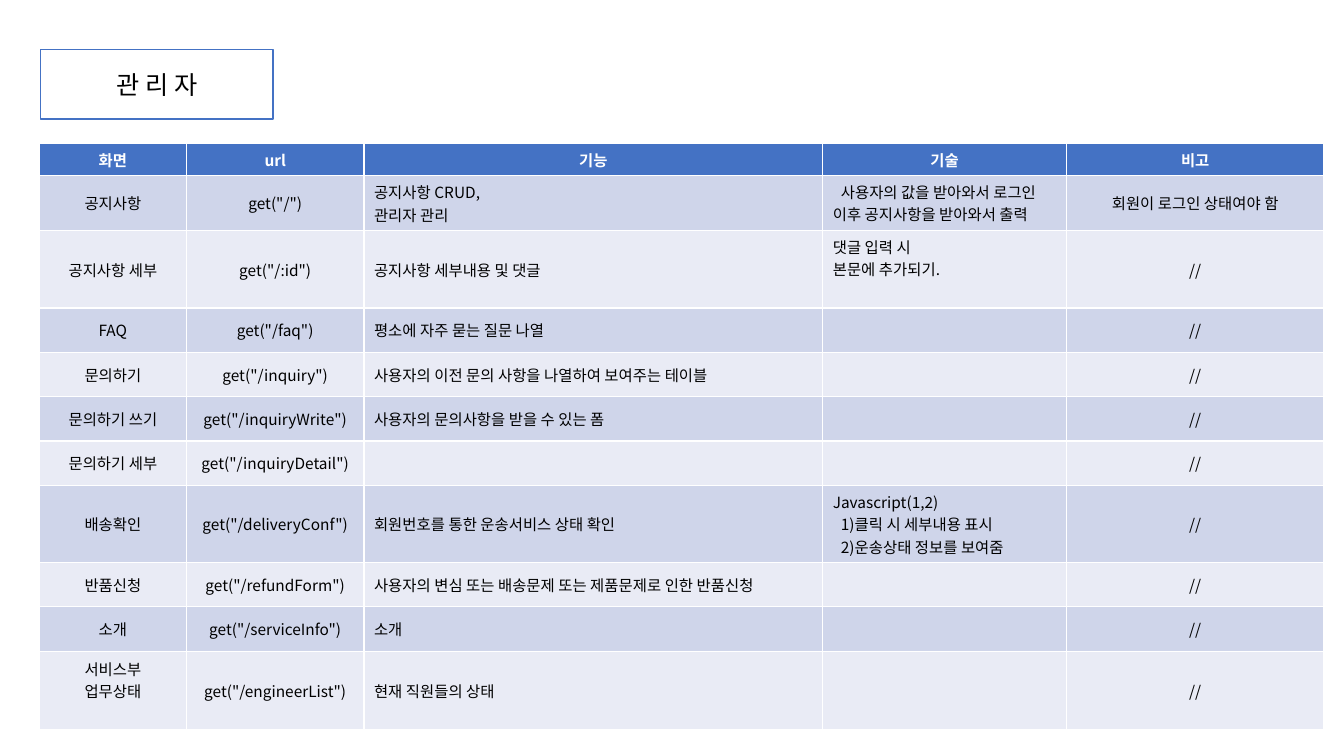
from lxml import etree
from pptx import Presentation
from pptx import util as u
from pptx.dml.color import RGBColor
from pptx.enum import text
from pptx.oxml import ns

BLUE = RGBColor(0x44, 0x72, 0xC4)
BAND_DARK = RGBColor(0xCF, 0xD5, 0xEA)
BAND_LIGHT = RGBColor(0xE9, 0xEB, 0xF5)
WHITE = RGBColor(0xFF, 0xFF, 0xFF)
BLACK = RGBColor(0, 0, 0)
FONT = "Noto Sans CJK KR"
CENTER, LEFT = text.PP_ALIGN.CENTER, text.PP_ALIGN.LEFT
MIDDLE, TOP = text.MSO_ANCHOR.MIDDLE, text.MSO_ANCHOR.TOP

COLUMN_WIDTHS = [1.46, 1.76, 4.55, 2.42, 2.55]
ALIGNMENTS = [CENTER, CENTER, LEFT, LEFT, CENTER]
TECH_COLUMN = 3
ROW_HEIGHT = 0.44
SPECIAL_HEIGHTS = {0: 0.31, 1: 0.54, 2: 0.77, 7: 0.76, 10: 0.78}
# (row, column): paragraphs whose first line is indented
INDENTED = {(1, 3): [0], (7, 3): [1, 2]}

ROWS = [
    ["화면", "url", "기능", "기술", "비고"],
    ["공지사항", 'get("/")', "공지사항 CRUD,\n관리자 관리",
     "사용자의 값을 받아와서 로그인 이후 공지사항을 받아와서 출력",
     "회원이 로그인 상태여야 함"],
    ["공지사항 세부", 'get("/:id")', "공지사항 세부내용 및 댓글",
     "댓글 입력 시\n본문에 추가되기.", "//"],
    ["FAQ", 'get("/faq")', "평소에 자주 묻는 질문 나열", "", "//"],
    ["문의하기", 'get("/inquiry")',
     "사용자의 이전 문의 사항을 나열하여 보여주는 테이블", "", "//"],
    ["문의하기 쓰기", 'get("/inquiryWrite")',
     "사용자의 문의사항을 받을 수 있는 폼", "", "//"],
    ["문의하기 세부", 'get("/inquiryDetail")', "", "", "//"],
    ["배송확인", 'get("/deliveryConf")', "회원번호를 통한 운송서비스 상태 확인",
     "Javascript(1,2)\n1)클릭 시 세부내용 표시\n2)운송상태 정보를 보여줌", "//"],
    ["반품신청", 'get("/refundForm")',
     "사용자의 변심 또는 배송문제 또는 제품문제로 인한 반품신청", "", "//"],
    ["소개", 'get("/serviceInfo")', "소개", "", "//"],
    ["서비스부\n업무상태", 'get("/engineerList")', "현재 직원들의 상태", "", "//"],
]


def format_paragraph(paragraph, alignment, size, color, bold=False):
    """Align the paragraph and set its Latin and East Asian font."""
    paragraph.alignment = alignment
    for run in paragraph.runs:
        values = {"name": FONT, "size": u.Pt(size), "bold": bold}
        for name, value in values.items():
            setattr(run.font, name, value)
        run.font.color.rgb = color
        east_asian = etree.SubElement(run._r.get_or_add_rPr(), ns.qn("a:ea"))
        east_asian.set("typeface", FONT)


presentation = Presentation()
presentation.slide_width = u.Inches(13.33)
presentation.slide_height = u.Inches(7.5)
slide = presentation.slides.add_slide(presentation.slide_layouts[5])

title = slide.shapes.title
title_box = {"left": 0.4, "top": 0.49, "width": 2.31, "height": 0.69}
for name, value in title_box.items():
    setattr(title, name, u.Inches(value))
title.fill.solid()
title.fill.fore_color.rgb = WHITE
title.line.color.rgb = BLUE
title.line.width = u.Pt(1)
title.text_frame.text = "관 리 자"
title.text_frame.auto_size = text.MSO_AUTO_SIZE.NONE
title.text_frame.vertical_anchor = MIDDLE
format_paragraph(title.text_frame.paragraphs[0], CENTER, 18, BLACK)

heights = [SPECIAL_HEIGHTS.get(row, ROW_HEIGHT) for row in range(len(ROWS))]
table = slide.shapes.add_table(
    len(ROWS), len(COLUMN_WIDTHS), u.Inches(0.39), u.Inches(1.42),
    u.Inches(sum(COLUMN_WIDTHS)), u.Inches(sum(heights))).table
for column, width in zip(table.columns, COLUMN_WIDTHS):
    column.width = u.Inches(width)

for row, (height, contents) in enumerate(zip(heights, ROWS)):
    table.rows[row].height = u.Inches(height)
    header = row == 0
    fill = BLUE if header else BAND_DARK if row % 2 else BAND_LIGHT
    for column, content in enumerate(contents):
        cell = table.cell(row, column)
        cell.text = content
        cell.fill.solid()
        cell.fill.fore_color.rgb = fill
        top_aligned = column == TECH_COLUMN and not header
        cell.vertical_anchor = TOP if top_aligned else MIDDLE
        for index, paragraph in enumerate(cell.text_frame.paragraphs):
            format_paragraph(paragraph, CENTER if header else ALIGNMENTS[column],
                             11, WHITE if header else BLACK, header)
            if not content:
                paragraph.font.size = u.Pt(11)
            if index in INDENTED.get((row, column), []):
                paragraph._p.get_or_add_pPr().set("indent", str(u.Inches(0.08)))

# The last screen name sits above the middle of its row
table.cell(len(ROWS) - 1, 0).margin_bottom = u.Inches(0.27)

presentation.save("out.pptx")
